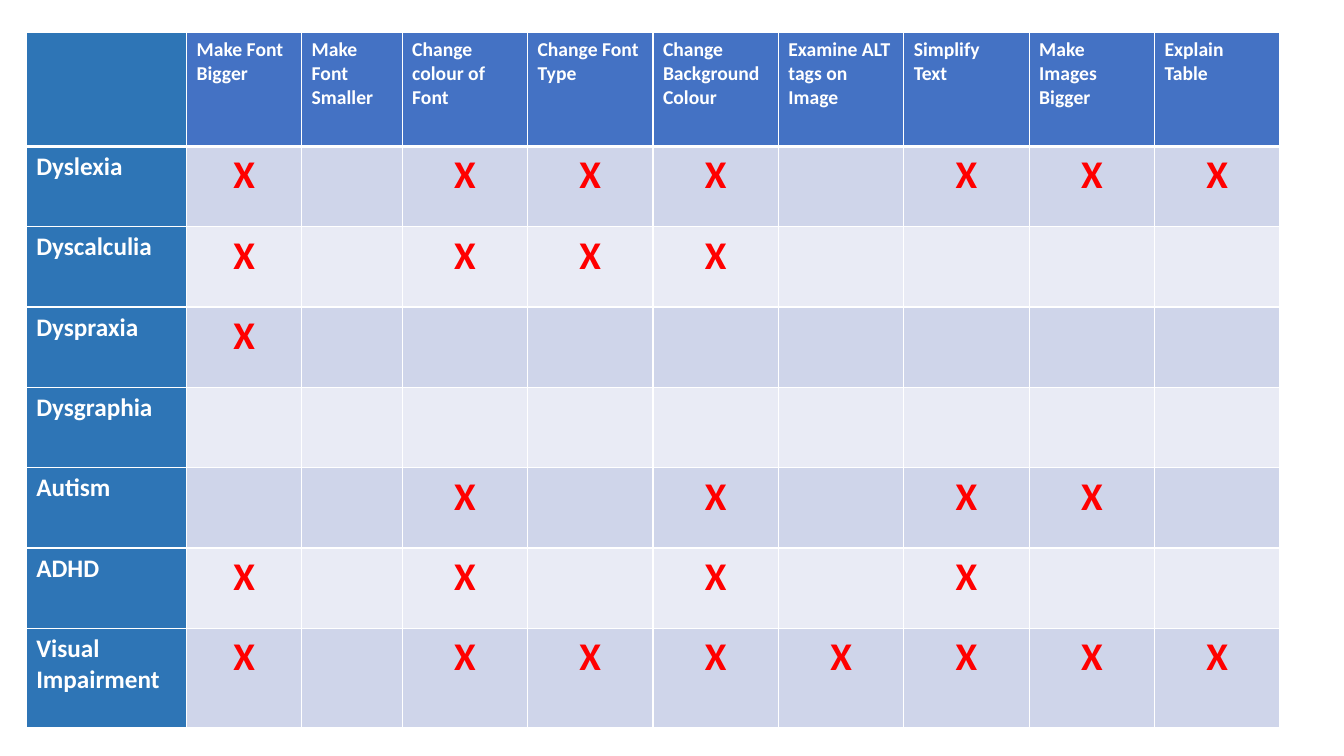
"""Build a slide with a table of reading adjustments for each condition."""
import pptx
import pptx.dml.color
import pptx.enum.text
import pptx.oxml
import pptx.oxml.ns
import pptx.util

Pt = pptx.util.Pt
ALIGN = pptx.enum.text.PP_ALIGN
COLOURS = {
    "white": "FFFFFF",
    "condition": "2E75B6",
    "adjustment": "4472C4",
    "odd": "CFD5EA",
    "even": "E9EBF5",
    "mark": "FF0000",
}
ADJUSTMENTS = [
    "Make Font Bigger", "Make Font Smaller", "Change colour of Font",
    "Change Font\nType", "Change Background Colour",
    "Examine ALT tags on Image", "Simplify\nText", "Make Images Bigger",
    "Explain Table",
]
CONDITIONS = {
    "Dyslexia": "X.XXX.XXX",
    "Dyscalculia": "X.XXX....",
    "Dyspraxia": "X........",
    "Dysgraphia": ".........",
    "Autism": "..X.X.XX.",
    "ADHD": "X.X.X.X..",
    "Visual Impairment": "X.XXXXXXX",
}
WIDTHS = [114.6, 82.2, 71.8] + [89.6] * 7
HEIGHTS = [81.3] + [57.4] * 6 + [71.1]


def rgb(name):
    return pptx.dml.color.RGBColor.from_string(COLOURS[name])


def write(frame, text, font="Calibri", size=14, colour="white", bold=True,
          align=ALIGN.LEFT):
    frame.text = text
    for paragraph in frame.paragraphs:
        paragraph.alignment = align
        for run in paragraph.runs:
            run.font.name = font
            run.font.size = Pt(size)
            run.font.bold = bold
            run.font.color.rgb = rgb(colour)


class SlideBuilder:
    def __init__(self, slide, rule=1, header_rule=3):
        self.slide = slide
        self.rule = rule
        self.header_rule = header_rule

    def table(self, left, top, widths, heights):
        grid = self.slide.shapes.add_table(
            len(heights), len(widths), Pt(left), Pt(top),
            Pt(sum(widths)), Pt(sum(heights))).table
        for column, width in zip(grid.columns, widths):
            column.width = Pt(width)
        for row, height in zip(grid.rows, heights):
            row.height = Pt(height)
        return grid

    def borders(self, cell, row):
        weights = {
            "L": self.rule,
            "R": self.rule,
            "T": self.header_rule if row == 1 else self.rule,
            "B": self.header_rule if row == 0 else self.rule,
        }
        properties = cell._tc.get_or_add_tcPr()
        for position, (side, weight) in enumerate(weights.items()):
            properties.insert(position, pptx.oxml.parse_xml(
                f'<a:ln{side} {pptx.oxml.ns.nsdecls("a")} w="{Pt(weight)}">'
                f'<a:solidFill><a:srgbClr val="{COLOURS["white"]}"/>'
                f'</a:solidFill></a:ln{side}>'))

    def cell(self, grid, row, column, fill, text="", **style):
        cell = grid.cell(row, column)
        cell.fill.solid()
        cell.fill.fore_color.rgb = rgb(fill)
        self.borders(cell, row)
        if text:
            write(cell.text_frame, text, **style)


def main():
    deck = pptx.Presentation()
    deck.slide_width, deck.slide_height = Pt(960), Pt(540)
    builder = SlideBuilder(deck.slides.add_slide(deck.slide_layouts[6]))
    needs = builder.table(18.7, 23.3, WIDTHS, HEIGHTS)

    builder.cell(needs, 0, 0, "condition")
    for column, adjustment in enumerate(ADJUSTMENTS, 1):
        builder.cell(needs, 0, column, "adjustment", adjustment)
    for row, (condition, marks) in enumerate(CONDITIONS.items(), 1):
        builder.cell(needs, row, 0, "condition", condition, size=18)
        band = "odd" if row % 2 else "even"
        for column, mark in enumerate(marks, 1):
            builder.cell(needs, row, column, band, mark.strip("."),
                         size=28, colour="mark", align=ALIGN.CENTER)
    deck.save("out.pptx")


if __name__ == "__main__":
    main()
